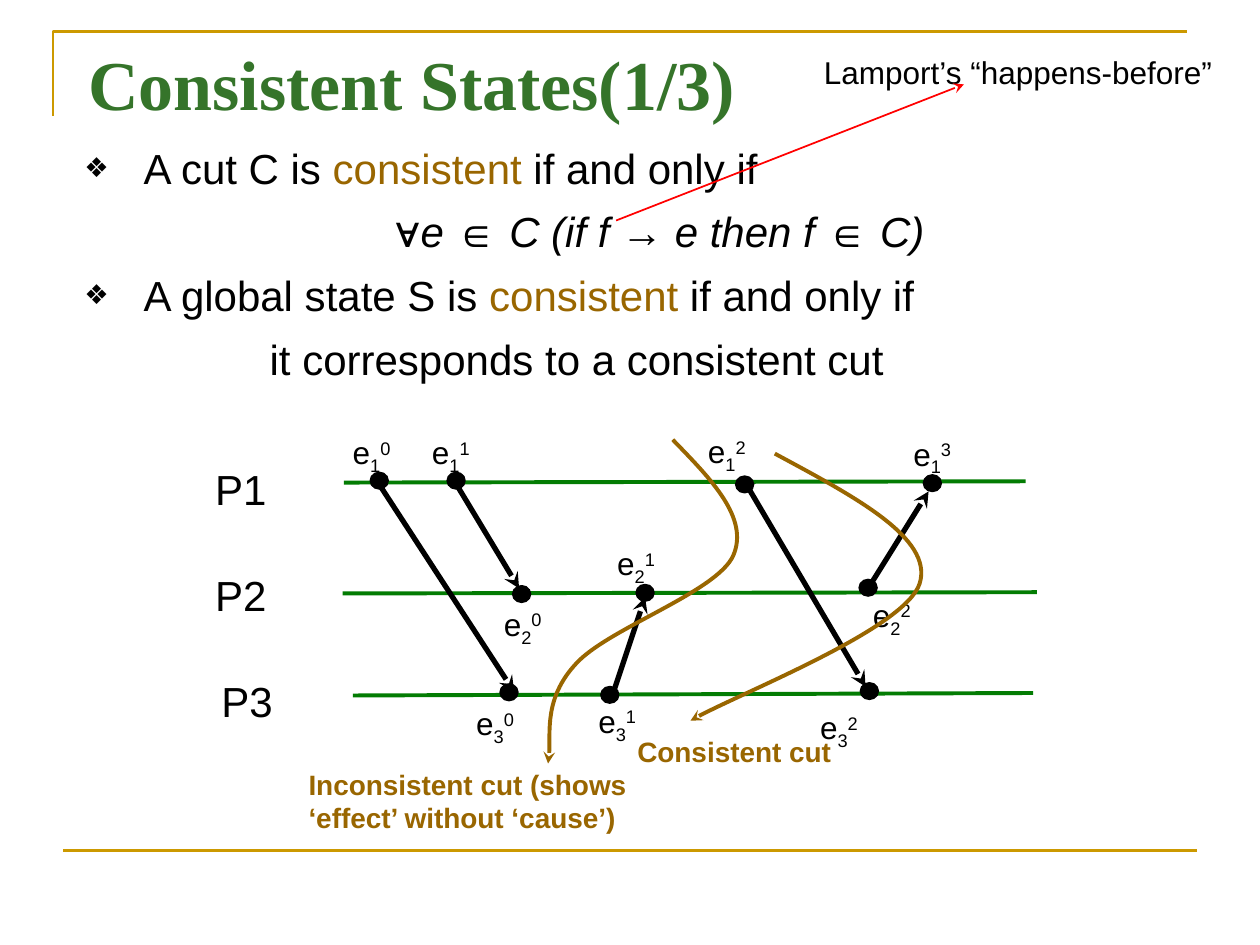
from pptx import Presentation
from pptx.dml.color import RGBColor
from pptx.enum.shapes import MSO_CONNECTOR as Link, MSO_SHAPE as Shape
from pptx.enum.text import MSO_ANCHOR as Anchor, MSO_AUTO_SIZE as Fit, PP_ALIGN as Align
from pptx.oxml.ns import qn
from pptx.util import Pt
from lxml.etree import SubElement as sub

SCALE = 9144
BLACK, BROWN, GREEN, GOLD, RED = "000000", "996600", "037C03", "CC9900", "FF0000"


def px(num):
    """Turn px, 100 to the inch, into EMU."""
    return round(num * SCALE)


def paint(code):
    """Turn a hex string into a colour."""
    return RGBColor.from_string(code)


def write(para, text, size=18, color=BLACK, font="Arial", bold=False, slant=False, base=0):
    """Add a run of formatted text to a paragraph."""
    run = para.add_run()
    run.text = text
    face = run.font
    face.name, face.size, face.bold, face.italic = font, Pt(size), bold, slant
    face.color.rgb = paint(color)
    if base:
        run._r.get_or_add_rPr().set("baseline", str(base * 1000))


def place(shape, left, top, width, height):
    """Move and size a shape."""
    shape.left, shape.top, shape.width, shape.height = map(px, (left, top, width, height))


def stroke(shape, color, weight, arrow=False):
    """Style an outline, with a stealth head at its end on request."""
    shape.line.color.rgb = paint(color)
    shape.line.width = Pt(weight)
    if arrow:
        sub(shape.line._get_or_add_ln(), qn("a:tailEnd"), type="stealth")


class Canvas:
    """Draws styled elements on one slide."""

    def __init__(self, slide):
        """Keep the slide and its shapes."""
        self.slide, self.shapes = slide, slide.shapes

    def title(self, text, box):
        """Fill the title placeholder."""
        shape = self.shapes.title
        place(shape, *box)
        frame = shape.text_frame
        frame.auto_size, frame.vertical_anchor = Fit.NONE, Anchor.BOTTOM
        para = frame.paragraphs[0]
        para.alignment = Align.LEFT
        write(para, text, 40, "35742A", "Times New Roman", bold=True)

    def body(self, rows, box):
        """Fill the body placeholder with (indent, bullet, runs) rows."""
        shape = self.slide.placeholders[1]
        place(shape, *box)
        frame = shape.text_frame
        frame.auto_size, frame.vertical_anchor = Fit.NONE, Anchor.TOP
        for num, (indent, mark, runs) in enumerate(rows):
            para = frame.add_paragraph() if num else frame.paragraphs[0]
            para.space_before = Pt(7.5)
            props = para._p.get_or_add_pPr()
            props.set("marL", str(px(indent)))
            props.set("indent", str(px(-indent) if mark else 0))
            if mark:
                tint = sub(props, qn("a:buClr"))
                sub(tint, qn("a:srgbClr"), val=BLACK)
                sub(props, qn("a:buSzPct"), val="65000")
                sub(props, qn("a:buChar"), char=mark)
            else:
                sub(props, qn("a:buNone"))
            for text, look in runs:
                write(para, text, size=24, **look)

    def label(self, runs, box, wrap=True):
        """Add a text box from (text, format) runs."""
        shape = self.shapes.add_textbox(*map(px, box))
        shape.text_frame.word_wrap = wrap
        for text, look in runs:
            write(shape.text_frame.paragraphs[0], text, **look)
        return shape

    def line(self, start, end, color, weight, arrow=False):
        """Add a straight line or arrow."""
        shape = self.shapes.add_connector(Link.STRAIGHT, *map(px, start + end))
        stroke(shape, color, weight, arrow)
        sub(shape._element.spPr, qn("a:effectLst"))

    def trace(self, points, color, weight, curve=False, arrow=False):
        """Add an open outline, straight or of cubic curves."""
        build = self.shapes.build_freeform(*points[0], scale=float(SCALE))
        build.add_line_segments(points[1:], close=False)
        shape = build.convert_to_shape()
        shape.fill.background()
        shape.shadow.inherit = False
        stroke(shape, color, weight, arrow)
        if curve:
            route = next(shape._element.iter(qn("a:path")))
            steps = route.findall(qn("a:lnTo"))
            for num in range(0, len(steps), 3):
                bend = sub(route, qn("a:cubicBezTo"))
                for step in steps[num:num + 3]:
                    bend.append(step[0])
                    route.remove(step)
        return shape

    def dot(self, left, top):
        """Add an event dot."""
        shape = self.shapes.add_shape(Shape.OVAL, *map(px, (left, top, 14, 13)))
        shape.shadow.inherit = False
        shape.fill.solid()
        shape.fill.fore_color.rgb = paint(BLACK)
        stroke(shape, BLACK, 1)

    def event(self, proc, num, dot, spot):
        """Add an event dot with its indexed name."""
        self.dot(*dot)
        runs = [("e", {}), (proc, {"base": -25}), (num, {"base": 30})]
        self.label(runs, spot + (61, 44))

    def cut(self, points, text, box):
        """Group a curved cut with its caption."""
        curve = self.trace(points, BROWN, 2.25, curve=True, arrow=True)
        note = self.label([(text, {"size": 16, "color": BROWN, "bold": True})], box)
        self.shapes.add_group_shape([curve, note])


ROWS = [
    (47, "❖", [("A cut C is ", {}), ("consistent", {"color": BROWN}), (" if and only if", {})]),
    (247, "", [("∀e ∈ C (if f → e then f ∈ C)", {"slant": True})]),
    (47, "❖", [("A global state S is ", {}), ("consistent ", {"color": BROWN}),
               ("if and only if", {})]),
    (147, "", [("it corresponds to a consistent cut", {})]),
]
LANES = [
    ("P1", (161, 363), (273, 383), (814, 382)),
    ("P2", (161, 447), (272, 471), (823, 470)),
    ("P3", (166, 531), (280, 552), (820, 550)),
]
EVENTS = [
    ("1", "0", (294, 375), (270, 339)), ("1", "1", (355, 375), (333, 339)),
    ("1", "2", (584, 378), (552, 338)), ("1", "3", (733, 377), (715, 340)),
    ("2", "0", (407, 465), (390, 475)), ("2", "1", (505, 464), (480, 427)),
    ("2", "2", (682, 460), (683, 468)), ("3", "0", (397, 543), (368, 554)),
    ("3", "1", (477, 545), (465, 552)), ("3", "2", (683, 542), (641, 557)),
]
SENDS = [
    ((302, 386), (408, 549)), ((362, 384), (412, 467)), ((487, 549), (512, 474)),
    ((689, 467), (737, 390)), ((595, 389), (687, 545)),
]
CUTS = [
    ([(534, 349), (564, 380), (595, 411), (582, 441), (569, 470), (482, 499), (457, 527),
      (432, 554), (438, 593), (435, 606)],
     "Inconsistent cut (shows ‘effect’ without ‘cause’)", (235, 604, 279, 64)),
    ([(615, 360), (678, 394), (741, 427), (730, 463), (719, 498), (578, 554), (548, 572)],
     "Consistent cut", (496, 578, 183, 37)),
]


def main():
    """Build and save the slide."""
    deck = Presentation()
    deck.slide_width, deck.slide_height = px(1000), px(750)
    page = Canvas(deck.slides.add_slide(deck.slide_layouts[1]))
    page.trace([(42, 92), (42, 25), (942, 25)], GOLD, 1.5)
    page.line((50, 675), (950, 675), GOLD, 1.5)
    page.title("Consistent States(1/3)", (60, 29, 550, 75))
    page.body(ROWS, (57, 108, 864, 243))
    for name, spot, start, end in LANES:
        page.line(start, end, GREEN, 2.25)
        page.label([(name, {"size": 24})], spot + (126, 50))
    for start, end in SENDS:
        page.line(start, end, BLACK, 3, arrow=True)
    for event in EVENTS:
        page.event(*event)
    for cut in CUTS:
        page.cut(*cut)
    page.label([("Lamport’s “happens-before”", {})], (644, 37, 328, 40), wrap=False)
    page.line((489, 175), (765, 67), RED, 1, arrow=True)
    deck.save("out.pptx")


if __name__ == "__main__":
    main()
